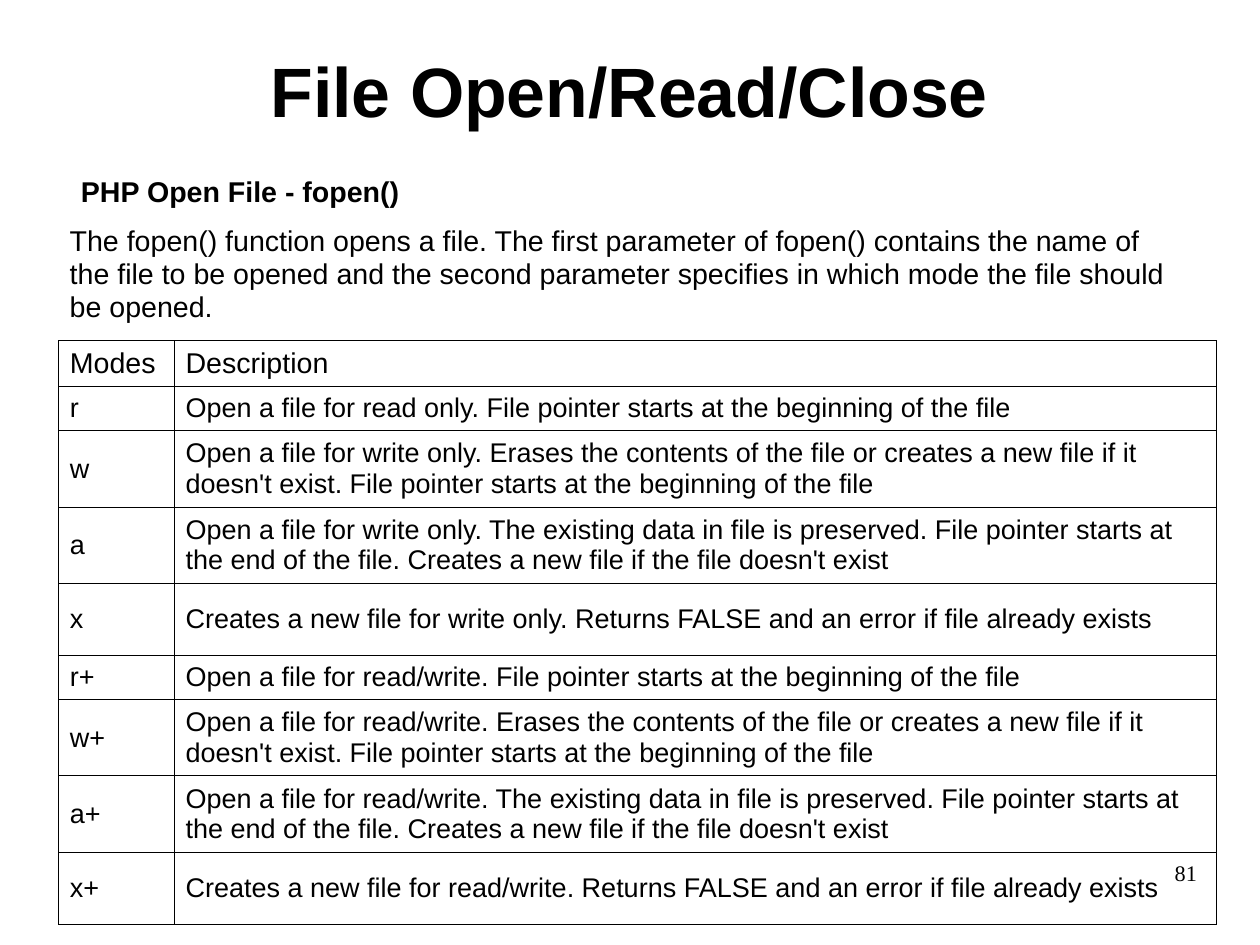
"""Build the slide on PHP file open modes."""
from lxml.etree import SubElement
from pptx import Presentation
from pptx.dml.color import RGBColor
from pptx.enum.text import MSO_ANCHOR, PP_ALIGN
from pptx.oxml.ns import qn
from pptx.util import Cm, Pt

BLACK = RGBColor(0, 0, 0)
SANS, SERIF = "Arial", "Times New Roman"
LEFT, MID, RIGHT = PP_ALIGN.LEFT, PP_ALIGN.CENTER, PP_ALIGN.RIGHT
TOP, HALF = MSO_ANCHOR.TOP, MSO_ANCHOR.MIDDLE
PAD = (0.25, 0.13)

# text, (left, top, width, height), size, bold, font, align, anchor, inset, wrap
BOXES = [
    ("File Open/Read/Close", (1.4, 0.84, 25.2, 2.46),
     44, True, SANS, MID, HALF, (0, 0), True),
    ("PHP Open File - fopen()", (1.55, 3.78, 7.6, 1),
     18, True, SANS, LEFT, TOP, PAD, False),
    ("The fopen() function opens a file. The first parameter of fopen() "
     "contains the name of the file to be opened and the second parameter "
     "specifies in which mode the file should be opened.",
     (1.3, 4.88, 25.2, 2.44), 18, False, SANS, LEFT, TOP, PAD, True),
]
PAGE = ("81", (20.07, 19.13, 6.53, 1.45),
        14, False, SERIF, RIGHT, TOP, (0, 0), True)

START = "File pointer starts at the beginning of the file"
ERASE = ("Erases the contents of the file or creates a new file "
         "if it doesn't exist. " + START)
KEEP = ("The existing data in file is preserved. File pointer starts at the "
        "end of the file. Creates a new file if the file doesn't exist")
FAIL = "Returns FALSE and an error if file already exists"

# mode, description, row height
ROWS = [("Modes", "Description", 1.02)]
for plus, verbs in (("", ("read only", "write only")),
                    ("+", ("read/write", "read/write"))):
    read, write = verbs
    ROWS += [
        ("r" + plus, f"Open a file for {read}. {START}", 0.97),
        ("w" + plus, f"Open a file for {write}. {ERASE}", 1.7),
        ("a" + plus, f"Open a file for {write}. {KEEP}", 1.7),
        ("x" + plus, f"Creates a new file for {write}. {FAIL}", 1.6),
    ]
COLS = (2.57, 23.16)
GRID = (1.3, 7.57)


def style(para, size, bold=False, face=SANS):
    """Set the font of a paragraph."""
    font = para.font
    font.size, font.bold, font.name = Pt(size), bold, face
    font.color.rgb = BLACK


def add_box(slide, text, place, size, bold, face, align, anchor, inset, wrap):
    """Add one text box."""
    frame = slide.shapes.add_textbox(*map(Cm, place)).text_frame
    frame.word_wrap, frame.vertical_anchor = wrap, anchor
    frame.margin_left = frame.margin_right = Cm(inset[0])
    frame.margin_top = frame.margin_bottom = Cm(inset[1])
    para = frame.paragraphs[0]
    para.text, para.alignment, para.line_spacing = text, align, 0.96
    style(para, size, bold, face)


def add_lines(cell):
    """Draw a thin black line on each side of a cell."""
    props = cell._tc.get_or_add_tcPr()
    for side in "LRTB":
        line = SubElement(props, qn("a:ln" + side), w=str(Pt(0.45)))
        fill = SubElement(line, qn("a:solidFill"))
        SubElement(fill, qn("a:srgbClr"), val=str(BLACK))


def add_modes(slide):
    """Add the table of modes."""
    area = (*GRID, sum(COLS), sum(row[2] for row in ROWS))
    table = slide.shapes.add_table(
        len(ROWS), len(COLS), *map(Cm, area)).table
    table.first_row = table.horz_banding = False
    for col, width in zip(table.columns, COLS):
        col.width = Cm(width)
    for r, (*texts, height) in enumerate(ROWS):
        table.rows[r].height = Cm(height)
        for c, text in enumerate(texts):
            cell = table.cell(r, c)
            cell.text, cell.vertical_anchor = text, HALF
            style(cell.text_frame.paragraphs[0], 17 if r else 18)
            add_lines(cell)
            cell.fill.background()


def main():
    """Build and save the deck."""
    deck = Presentation()
    deck.slide_width, deck.slide_height = Cm(28), Cm(21)
    slide = deck.slides.add_slide(deck.slide_layouts[6])
    for box in BOXES:
        add_box(slide, *box)
    add_modes(slide)
    add_box(slide, *PAGE)
    deck.save("out.pptx")


if __name__ == "__main__":
    main()
